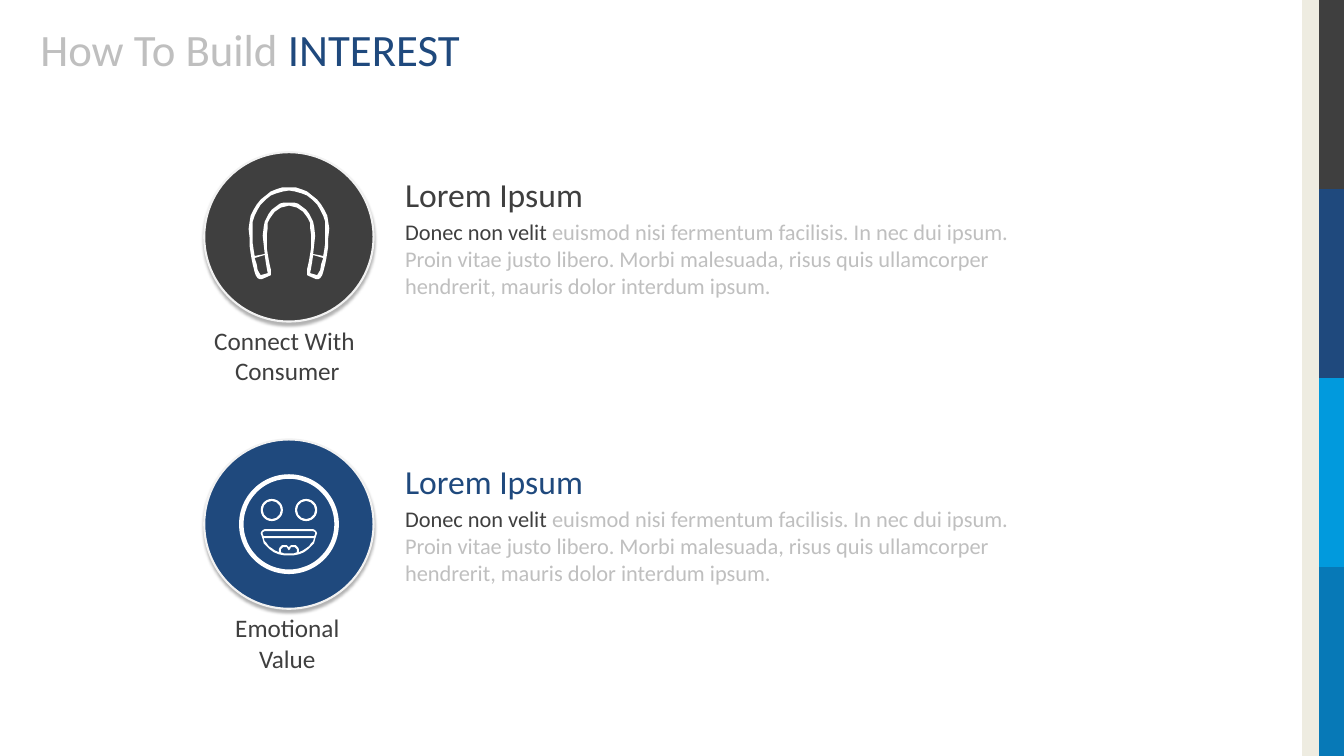
from dataclasses import dataclass

from lxml import etree
from pptx import Presentation
from pptx import util as u
from pptx.dml.color import RGBColor
from pptx.enum import shapes, text
from pptx.oxml import ns


@dataclass(frozen=True)
class Theme:
    """Colours and type sizes."""
    font: str = "Calibri"
    dark: str = "3F3F3F"
    navy: str = "1F497D"
    sky: str = "019ADD"
    blue: str = "0779B7"
    sand: str = "EEECE1"
    grey: str = "BFBFBF"
    rim: str = "F2F2F2"
    white: str = "FFFFFF"
    title: int = 32
    heading: int = 24
    caption: int = 18
    body: int = 16


MAGNET_BODY = [
    [(0, -49), (7, -49), (13, -47), (18, -45), (23, -41), (28, -37), (32, -32),
     (35, -27), (38, -21), (39, -15), (40, -8), (39, 1), (39, 9), (38, 16),
     (37, 22), (36, 27), (35, 31), (34, 35), (33, 38), (31, 41), (29, 42),
     (27, 42), (20, 39), (18, 38), (18, 35), (18, 32), (19, 28), (20, 23),
     (21, 17), (22, 11), (22, -2), (21, -9), (21, -14), (19, -18), (17, -21),
     (14, -25), (11, -27), (8, -29), (4, -30), (0, -31)],
    [(0, -46), (6, -45), (13, -43), (18, -41), (23, -37), (28, -32), (31, -27),
     (34, -21), (36, -15), (36, -8), (36, 6), (35, 13), (34, 19), (24, 17),
     (25, 8), (26, -1), (25, -10), (24, -15), (22, -19), (20, -23), (17, -27),
     (13, -30), (9, -33), (5, -34), (0, -34)],
]
MAGNET_TIP = [(24, 18), (34, 21), (32, 27), (31, 33), (28, 38), (21, 36), (22, 31), (23, 25)]
MOUTH = [
    [(24, 5), (26, 6), (27, 7), (28, 9), (27, 12), (26, 15), (25, 19), (22, 22),
     (19, 25), (15, 28), (10, 30), (5, 31), (0, 31)],
    [(24, 7), (26, 8), (26, 10), (25, 12)],
    [(25, 14), (24, 17), (22, 19), (20, 22), (17, 24), (14, 26), (10, 28),
     (10, 25), (9, 23), (7, 21), (4, 21), (2, 21), (0, 23)],
    [(0, 26), (1, 25), (2, 23), (4, 23), (6, 23), (8, 25), (8, 28), (5, 29), (0, 29)],
]


def flip(points):
    return [(-x, y) for x, y in points]


def mirrored(half):
    return half + flip(half[::-1])


class Board:
    """Draws on one slide, with boxes given in percent of its size."""

    def __init__(self, presentation, theme):
        self.theme = theme
        self.width, self.height = presentation.slide_width, presentation.slide_height
        self.icon_unit = self.width / 1333
        self.slide = presentation.slides.add_slide(presentation.slide_layouts[5])

    def box(self, left, top, width, height):
        return (round(left * self.width / 100), round(top * self.height / 100),
                round(width * self.width / 100), round(height * self.height / 100))

    def paint(self, shape, colour):
        shape.shadow.inherit = False
        shape.fill.solid()
        shape.fill.fore_color.rgb = RGBColor.from_string(colour)
        shape.line.fill.background()
        return shape

    def bar(self, box, colour):
        shape = self.slide.shapes.add_shape(shapes.MSO_SHAPE.RECTANGLE, *self.box(*box))
        self.paint(shape, colour)

    def disc(self, box, colour):
        shape = self.slide.shapes.add_shape(shapes.MSO_SHAPE.OVAL, *self.box(*box))
        self.paint(shape, colour)
        shape.line.color.rgb = RGBColor.from_string(self.theme.rim)
        shape.line.width = u.Pt(1.5)
        effects = shape._element.spPr.find(ns.qn("a:effectLst"))
        shadow = etree.SubElement(effects, ns.qn("a:outerShdw"), blurRad=str(u.Pt(2)),
                                  dist=str(u.Pt(2)), dir="5400000", rotWithShape="0")
        shade = etree.SubElement(shadow, ns.qn("a:srgbClr"), val="000000")
        etree.SubElement(shade, ns.qn("a:alpha"), val="30000")
        return shape.left + shape.width // 2, shape.top + shape.height // 2

    def ring(self, centre, across, down, diameter, thickness):
        size = round(diameter * self.icon_unit)
        left = round(centre[0] + across * self.icon_unit - size / 2)
        top = round(centre[1] + down * self.icon_unit - size / 2)
        shape = self.slide.shapes.add_shape(shapes.MSO_SHAPE.DONUT, left, top, size, size)
        shape.adjustments[0] = thickness / diameter
        self.paint(shape, self.theme.white)

    def outline(self, centre, contours):
        first, *others = contours
        builder = self.slide.shapes.build_freeform(*first[0], scale=self.icon_unit)
        builder.add_line_segments(first[1:], close=True)
        for contour in others:
            builder.move_to(*contour[0])
            builder.add_line_segments(contour[1:], close=True)
        self.paint(builder.convert_to_shape(*centre), self.theme.white)

    def fill_text(self, shape, lines, size, align):
        frame = shape.text_frame
        frame.word_wrap = True
        frame.auto_size = text.MSO_AUTO_SIZE.NONE
        frame.vertical_anchor = text.MSO_ANCHOR.TOP
        for index, line in enumerate(lines):
            paragraph = frame.add_paragraph() if index else frame.paragraphs[0]
            paragraph.alignment = align
            for words, colour in line:
                run = paragraph.add_run()
                run.text = words
                run.font.name = self.theme.font
                run.font.size = u.Pt(size)
                run.font.color.rgb = RGBColor.from_string(colour)

    def title(self, box, line):
        shape = self.slide.shapes.title
        shape.left, shape.top, shape.width, shape.height = self.box(*box)
        self.fill_text(shape, [line], self.theme.title, text.PP_ALIGN.LEFT)

    def label(self, box, lines, size, align=text.PP_ALIGN.LEFT):
        shape = self.slide.shapes.add_textbox(*self.box(*box))
        self.fill_text(shape, lines, size, align)

    def magnet(self, centre):
        self.outline(centre, [mirrored(half) for half in MAGNET_BODY]
                     + [MAGNET_TIP, flip(MAGNET_TIP)])

    def smile(self, centre):
        self.ring(centre, 0, 0, 99, 4.5)
        for side in (-17, 17):
            self.ring(centre, side, -14, 22, 2)
        self.outline(centre, [mirrored(half) for half in MOUTH])


def main():
    presentation = Presentation()
    presentation.slide_width, presentation.slide_height = u.Inches(13.33), u.Inches(7.5)
    theme = Theme()
    board = Board(presentation, theme)
    board.title((2.25, 2.27, 40.28, 8.53),
                [("How To Build ", theme.grey), ("INTEREST", theme.navy)])

    for index, colour in enumerate((theme.dark, theme.navy, theme.sky, theme.blue)):
        board.bar((98.12, 25 * index, 1.88, 25), colour)
    board.bar((96.88, 0, 1.25, 100), theme.sand)

    body = [("Donec non velit ", theme.dark),
            ("euismod nisi fermentum facilisis. In nec dui ipsum. Proin vitae justo "
             "libero. Morbi malesuada, risus quis ullamcorper hendrerit, mauris dolor "
             "interdum ipsum.", theme.grey)]
    topics = [(theme.dark, ("Connect With ", "Consumer"), board.magnet),
              (theme.navy, ("Emotional", "Value"), board.smile)]
    for index, (colour, caption, icon) in enumerate(topics):
        top = 20.13 + 38 * index
        icon(board.disc((15.2, top, 12.6, 22.4), colour))
        board.label((13.58, top + 22.27, 15.6, 9.47),
                    [[(words, theme.dark)] for words in caption],
                    theme.caption, text.PP_ALIGN.CENTER)
        board.label((29.4, top + 8.07, 49, 12.13), [body], theme.body)
        board.label((29.4, top + 2.2, 15.3, 6.67), [[("Lorem Ipsum", colour)]], theme.heading)

    presentation.save("out.pptx")


if __name__ == "__main__":
    main()
